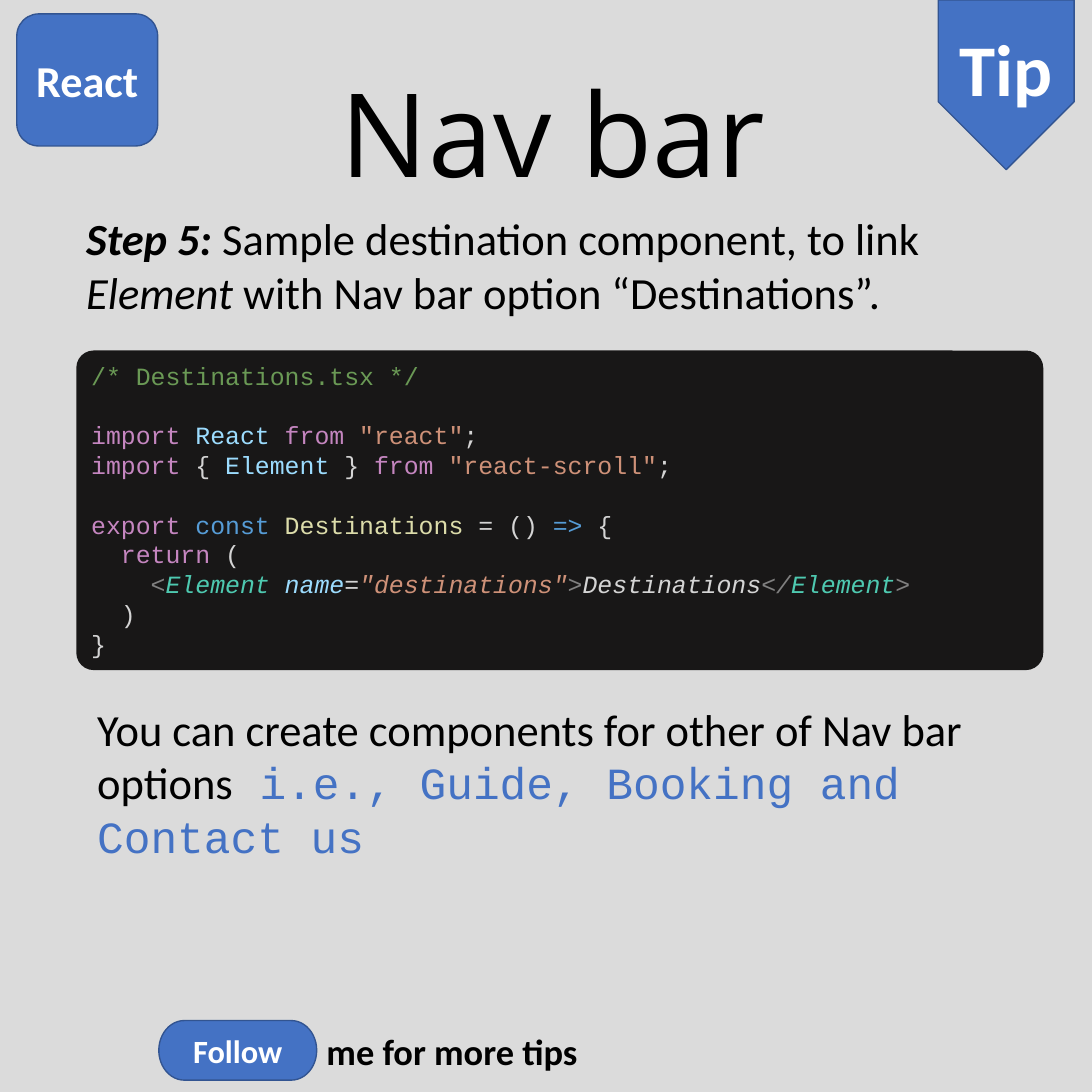
from pptx import Presentation
from pptx.dml.color import RGBColor
from pptx.enum.shapes import MSO_SHAPE
from pptx.enum.text import MSO_ANCHOR, PP_ALIGN
from pptx.util import Pt

SIDE = 792
BACKGROUND, BLACK, WHITE = "DBDBDB", "000000", "FFFFFF"
BLUE, BLUE_EDGE, CODE_BACK = "4472C4", "325491", "181717"
KEYWORD, NAME, STRING, PLAIN = "C586C0", "9CDCFE", "CE9178", "D4D4D4"
COMMENT, STORAGE, FUNCTION = "6A9955", "569CD6", "DCDCAA"
BRACKET, TAG = "808080", "4EC9B0"

BODY = {"size": Pt(32.3), "name": "Calibri"}
MONO = {"size": Pt(18), "name": "Courier New"}
BOLD, ITALIC = {"bold": True}, {"italic": True}

TEXTS = [
    ((124.6, 40.3, 553, 109.4), {"size": Pt(84.3), "name": "Open Sans"},
     [("Nav bar", BLACK, {})],
     {"word_wrap": True, "vertical_anchor": MSO_ANCHOR.MIDDLE}, PP_ALIGN.CENTER),
    ((55.4, 149.8, 683.3, 85.7), BODY,
     [("Step 5: ", BLACK, BOLD | ITALIC),
      ("Sample destination component, to link ", BLACK, {}),
      ("Element", BLACK, ITALIC),
      (" with Nav bar option “Destinations”.", BLACK, {})],
     {"word_wrap": True}, PP_ALIGN.LEFT),
    ((63.4, 505.4, 683.3, 124.6), BODY,
     [("You can create components for other of Nav bar options", BLACK, {}),
      (" i.e., Guide, Booking and Contact us", BLUE, {"name": "Courier New"})],
     {"word_wrap": True}, PP_ALIGN.LEFT),
    ((229.7, 743, 198.7, 39.6), {"size": Pt(26.4), "name": "Calibri"},
     [("me for more tips", BLACK, BOLD)],
     {"word_wrap": False}, PP_ALIGN.LEFT),
]

BADGES = [
    ("Tip", MSO_SHAPE.PENTAGON, (668.2, 12.2, 123.1, 98.6), 52.8, 90),
    ("Follow", MSO_SHAPE.FLOWCHART_TERMINATOR, (115.2, 740.2, 114.5, 43.2), 23.5, 0),
    ("React", MSO_SHAPE.ROUNDED_RECTANGLE, (12.2, 10.1, 102.2, 95.8), 32, 0),
]

CODE_BOX = (55.4, 254.2, 701.3, 231.8)
CODE_PITCH, CODE_INDENT = 21.6, 21.6
CODE = [
    (0, 0, [("/* Destinations.tsx */", COMMENT)]),
    (1, 0, [("import ", KEYWORD), ("React ", NAME), ("from ", KEYWORD),
            ('"react"', STRING), (";", PLAIN)]),
    (0, 0, [("import", KEYWORD), (" { ", PLAIN), ("Element", NAME), (" } ", PLAIN),
            ("from ", KEYWORD), ('"react-scroll"', STRING), (";", PLAIN)]),
    (1, 0, [("export ", KEYWORD), ("const ", STORAGE), ("Destinations", FUNCTION),
            (" = () ", PLAIN), ("=>", STORAGE), (" {", PLAIN)]),
    (0, 1, [("return", KEYWORD), (" (", PLAIN)]),
    (0, 2, [("<", BRACKET), ("Element ", TAG), ("name", NAME), ("=", PLAIN),
            ('"destinations"', STRING), (">", BRACKET), ("Destinations", PLAIN),
            ("</", BRACKET), ("Element", TAG), (">", BRACKET)]),
    (0, 1, [(")", PLAIN)]),
    (0, 0, [("}", PLAIN)]),
]


def paint(target, colour):
    target.solid()
    target.fore_color.rgb = RGBColor.from_string(colour)


def apply(target, formats):
    for key, value in formats.items():
        setattr(target, key, value)


def add_spans(para, spans, base):
    for text, colour, extra in spans:
        span = para.add_run()
        span.text = text
        apply(span.font, base | extra)
        paint(span.font.fill, colour)


def add_box(page, kind, place, colour):
    box = page.shapes.add_shape(kind, *map(Pt, place))
    box.shadow.inherit = False
    paint(box.fill, colour)
    return box


def add_text(page, place, base, spans, frame_formats, align):
    frame = page.shapes.add_textbox(*map(Pt, place)).text_frame
    apply(frame, frame_formats)
    para = frame.paragraphs[0]
    para.alignment = align
    add_spans(para, spans, base)


def add_badge(page, label, kind, place, size, turn):
    box = add_box(page, kind, place, BLUE)
    paint(box.line.fill, BLUE_EDGE)
    box.line.width = Pt(1)
    box.rotation = turn
    frame = box.text_frame
    frame.vertical_anchor = MSO_ANCHOR.MIDDLE
    if turn:
        frame._txBody.bodyPr.set("vert", "vert270")
    para = frame.paragraphs[0]
    para.alignment = PP_ALIGN.CENTER
    add_spans(para, [(label, WHITE, BOLD)], {"size": Pt(size), "name": "Calibri"})


def add_code(page):
    box = add_box(page, MSO_SHAPE.ROUNDED_RECTANGLE, CODE_BOX, CODE_BACK)
    box.adjustments[0] = 0.054
    box.line.fill.background()
    frame = box.text_frame
    frame.vertical_anchor = MSO_ANCHOR.TOP
    for number, (gap, level, tokens) in enumerate(CODE):
        para = frame.add_paragraph() if number else frame.paragraphs[0]
        apply(para, {"alignment": PP_ALIGN.LEFT, "line_spacing": Pt(CODE_PITCH),
                     "space_before": Pt(gap * CODE_PITCH)})
        para._p.get_or_add_pPr().set("marL", str(Pt(level * CODE_INDENT)))
        slant = ITALIC if level == 2 else {}
        add_spans(para, [(text, colour, slant) for text, colour in tokens], MONO)


def main():
    deck = Presentation()
    apply(deck, {"slide_width": Pt(SIDE), "slide_height": Pt(SIDE)})
    page = deck.slides.add_slide(deck.slide_layouts[6])
    paint(page.background.fill, BACKGROUND)
    for text in TEXTS:
        add_text(page, *text)
    for badge in BADGES:
        add_badge(page, *badge)
    add_code(page)
    deck.save("out.pptx")


if __name__ == "__main__":
    main()
